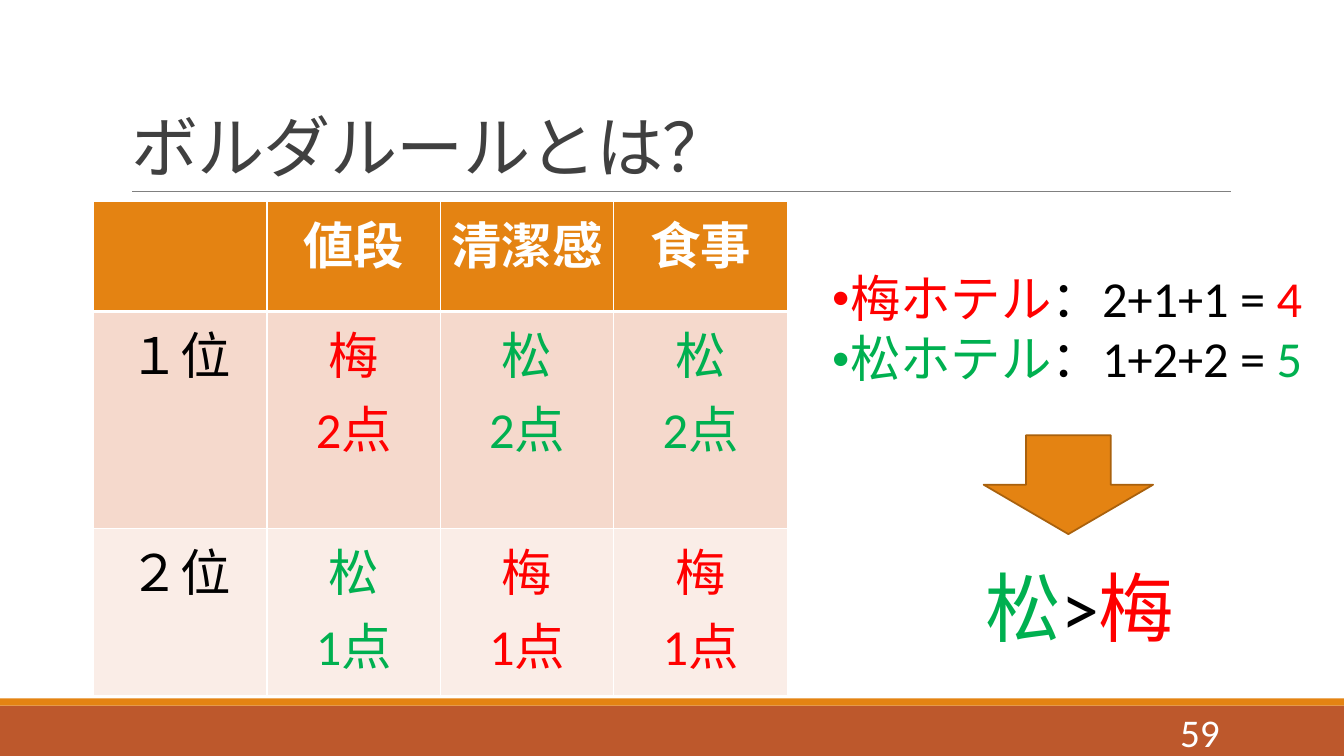
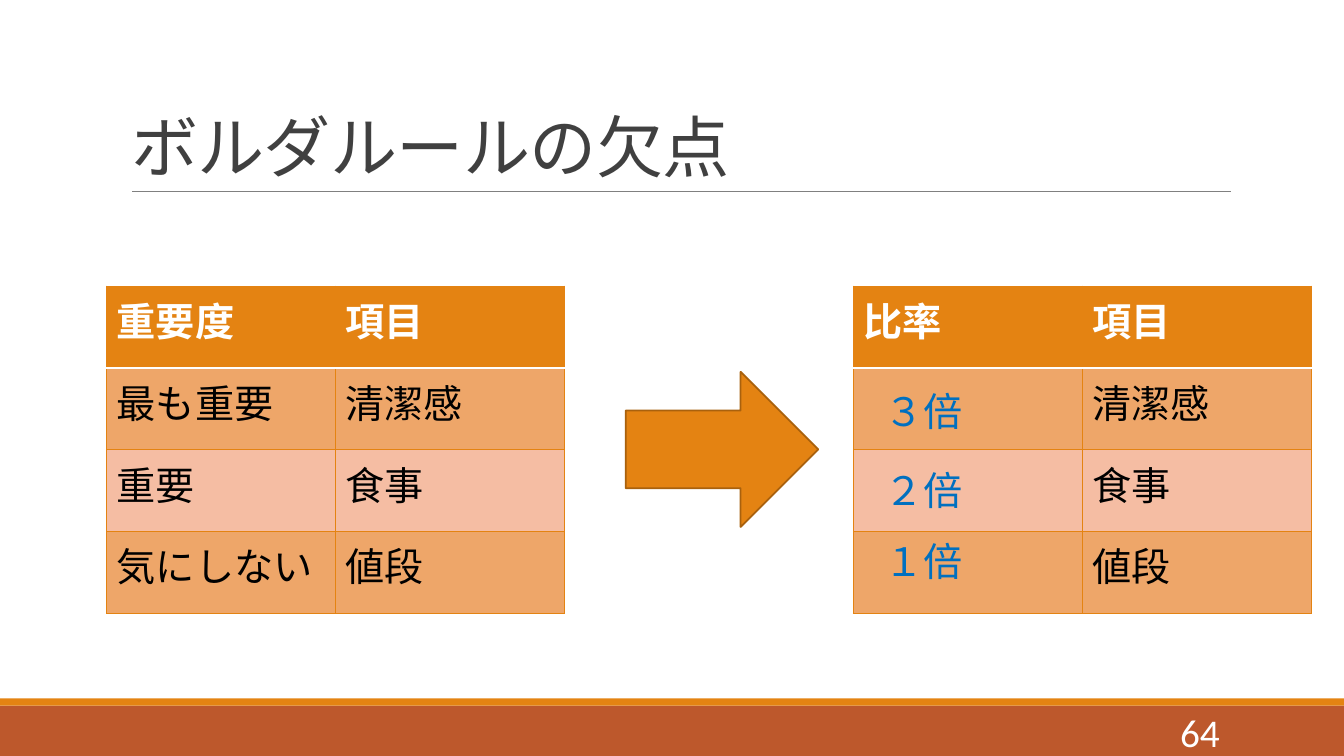
"""Build two slides on the Borda rule."""
from lxml.etree import SubElement as Sub
from pptx import Presentation
from pptx.dml.color import RGBColor as Rgb
from pptx.enum.shapes import MSO_CONNECTOR as Link, MSO_SHAPE as Kind
from pptx.enum.text import MSO_ANCHOR as Anchor, MSO_AUTO_SIZE as Auto, PP_ALIGN as Align
from pptx.oxml.ns import qn
from pptx.util import Cm, Pt

FONT = "Calibri"
HUE = {
    "brick": "BD582C", "orange": "E48312", "edge": "A9610D", "rule": "808080",
    "title": "404040", "white": "FFFFFF", "black": "000000", "red": "FF0000",
    "green": "00B050", "blue": "0070C0", "rose": "F5D9CC", "pale": "FAEDE7",
    "amber": "EEA669", "peach": "F5BDA3",
}
HOTEL = {"梅": "red", "松": "green"}
WIDE, HIGH = 33.87, 19.05
SCORE = {"line": "white", "rule": 3, "size": 36, "align": Align.CENTER, "top": 0.38,
         "gap": 9, "fills": ["orange", "rose", "pale"]}
RANK = {"line": "orange", "rule": 1.25, "size": 28, "align": Align.LEFT, "top": 0.33,
        "gap": 0, "fills": ["orange", "amber", "peach", "amber"]}


def rgb(name):
    """Return the named colour."""
    return Rgb.from_string(HUE[name])


def apply(item, form):
    """Set each attribute of the item from the dict."""
    for key, value in form.items():
        setattr(item, key, value)


def place(box):
    """Turn centimetres into lengths."""
    return [Cm(part) for part in box]


def style(run, size, hue, bold=False):
    """Format a run in the deck font for all scripts."""
    apply(run.font, {"name": FONT, "size": Pt(size), "bold": bold})
    run.font.color.rgb = rgb(hue)
    Sub(run.font._element, qn("a:ea"), typeface=FONT)


def dot(para):
    """Give the paragraph a round bullet."""
    props = para._p.get_or_add_pPr()
    props.set("marL", str(Cm(0.46)))
    props.set("indent", str(-Cm(0.46)))
    Sub(props, qn("a:buSzPct"), val="75000")
    Sub(props, qn("a:buFont"), typeface=FONT)
    Sub(props, qn("a:buChar"), char="•")


def write(frame, lines, size, align=Align.LEFT, bold=False, gap=0, dots=False):
    """Fill a frame with lines of (text, colour) runs."""
    for num, line in enumerate(lines):
        para = frame.add_paragraph() if num else frame.paragraphs[0]
        para.alignment = align
        if num and gap:
            para.space_before = Pt(gap)
        if dots:
            dot(para)
        for text, hue in line:
            run = para.add_run()
            run.text = text
            style(run, size, hue, bold)


def label(slide, box, lines, size, anchor=Anchor.TOP, **form):
    """Add a wrapped text box."""
    frame = slide.shapes.add_textbox(*place(box)).text_frame
    apply(frame, {"word_wrap": True, "vertical_anchor": anchor})
    write(frame, lines, size, **form)


def block(slide, kind, box, fill, edge=None):
    """Add a flat filled shape."""
    shape = slide.shapes.add_shape(kind, *place(box))
    shape.shadow.inherit = False
    shape.fill.solid()
    shape.fill.fore_color.rgb = rgb(fill)
    if edge:
        shape.line.color.rgb = rgb(edge)
        shape.line.width = Pt(1.25)
    else:
        shape.line.fill.background()


def rule(slide, ends):
    """Add the thin line below the title."""
    line = slide.shapes.add_connector(Link.STRAIGHT, *place(ends))
    line.line.color.rgb = rgb("rule")
    line.line.width = Pt(0.5)
    Sub(line._element.spPr, qn("a:effectLst"))


def border(cell, side, hue, width):
    """Draw one side of a cell."""
    line = Sub(cell._tc.get_or_add_tcPr(), qn("a:ln" + side), w=str(Pt(width)))
    Sub(Sub(line, qn("a:solidFill")), qn("a:srgbClr"), val=HUE[hue])


def grid(slide, spot, wide, tall, rows, look):
    """Add a table with a bold header row."""
    count = len(rows[0])
    size = (wide * count, sum(tall))
    table = slide.shapes.add_table(len(rows), count, *place(spot + size)).table
    table.horz_banding = False
    for col in table.columns:
        col.width = Cm(wide)
    for r, texts in enumerate(rows):
        table.rows[r].height = Cm(tall[r])
        for c, text in enumerate(texts):
            cell = table.cell(r, c)
            for side in "LRTB":
                heavy = (r, side) in ((0, "B"), (1, "T"))
                pen = ("white", look["rule"]) if heavy else (look["line"], 1)
                border(cell, side, *pen)
            cell.fill.solid()
            cell.fill.fore_color.rgb = rgb(look["fills"][r])
            cell.margin_top = Cm(look["top"])
            if text:
                hue = HOTEL.get(text[0], "black") if r else "white"
                lines = [[(part, hue)] for part in text.split("\n")]
                write(cell.text_frame, lines, look["size"], look["align"],
                      bold=r == 0, gap=look["gap"])


def start(deck, title, page):
    """Add a slide with title, rule, bands and page number."""
    slide = deck.slides.add_slide(deck.slide_layouts[5])
    block(slide, Kind.RECTANGLE, (0, 17.78, WIDE, 1.27), "brick")
    block(slide, Kind.RECTANGLE, (0, 17.6, WIDE, 0.18), "orange")
    rule(slide, (3.33, 4.83, 31.01, 4.83))
    head = slide.shapes.title
    apply(head, dict(zip(("left", "top", "width", "height"),
                         place((3.05, 0.79, 27.94, 4.04)))))
    apply(head.text_frame, {"vertical_anchor": Anchor.BOTTOM, "word_wrap": True,
                            "auto_size": Auto.NONE})
    write(head.text_frame, [[(title, "title")]], 48)
    para = head.text_frame.paragraphs[0]
    para.line_spacing = 0.85
    para.runs[0].font._element.set("spc", "-50")
    label(slide, (23.95, 17.93, 7.04, 1.02), [[(page, "white")]], 28,
          Anchor.MIDDLE, align=Align.RIGHT)
    return slide


def borda(deck):
    """Show how the points are summed."""
    slide = start(deck, "ボルダルールとは？", "59")
    grid(slide, (2.36, 5.08), 4.37, (2.77, 5.46, 4.22), [
        ["", "値段", "清潔感", "食事"],
        ["１位", "梅\n2点", "松\n2点", "松\n2点"],
        ["２位", "松\n1点", "梅\n1点", "梅\n1点"],
    ], SCORE)
    sums = [("梅", "2+1+1", "4"), ("松", "1+2+2", "5")]
    lines = [[(name + "ホテル", HOTEL[name]), (f"：{terms} = ", "black"),
              (total, HOTEL[name])] for name, terms, total in sums]
    label(slide, (20.7, 6.6, 13, 3.4), lines, 36, dots=True)
    block(slide, Kind.DOWN_ARROW, (24.79, 10.97, 4.27, 2.49), "orange", "edge")
    label(slide, (24.59, 14.02, 8.51, 2.57),
          [[("松", "green"), (">", "black"), ("梅", "red")]], 54)


def flaw(deck):
    """Show how importance turns into ratios."""
    slide = start(deck, "ボルダルールの欠点", "64")
    items = ["項目", "清潔感", "食事", "値段"]
    ranks = ["重要度", "最も重要", "重要", "気にしない"]
    rates = ["比率", "", "", ""]
    for left, names in ((2.69, ranks), (21.51, rates)):
        grid(slide, (left, 7.21), 5.77, [2.06] * 4, list(zip(names, items)), RANK)
    block(slide, Kind.RIGHT_ARROW, (15.77, 9.37, 4.85, 3.91), "orange", "edge")
    for top, text in ((9.63, "３倍"), (11.63, "２倍"), (13.41, "１倍")):
        label(slide, (22.05, top, 5.87, 1.45), [[(text, "blue")]], 28)


def main():
    """Build and save the deck."""
    deck = Presentation()
    apply(deck, {"slide_width": Cm(WIDE), "slide_height": Cm(HIGH)})
    borda(deck)
    flaw(deck)
    deck.save("out.pptx")


if __name__ == "__main__":
    main()
